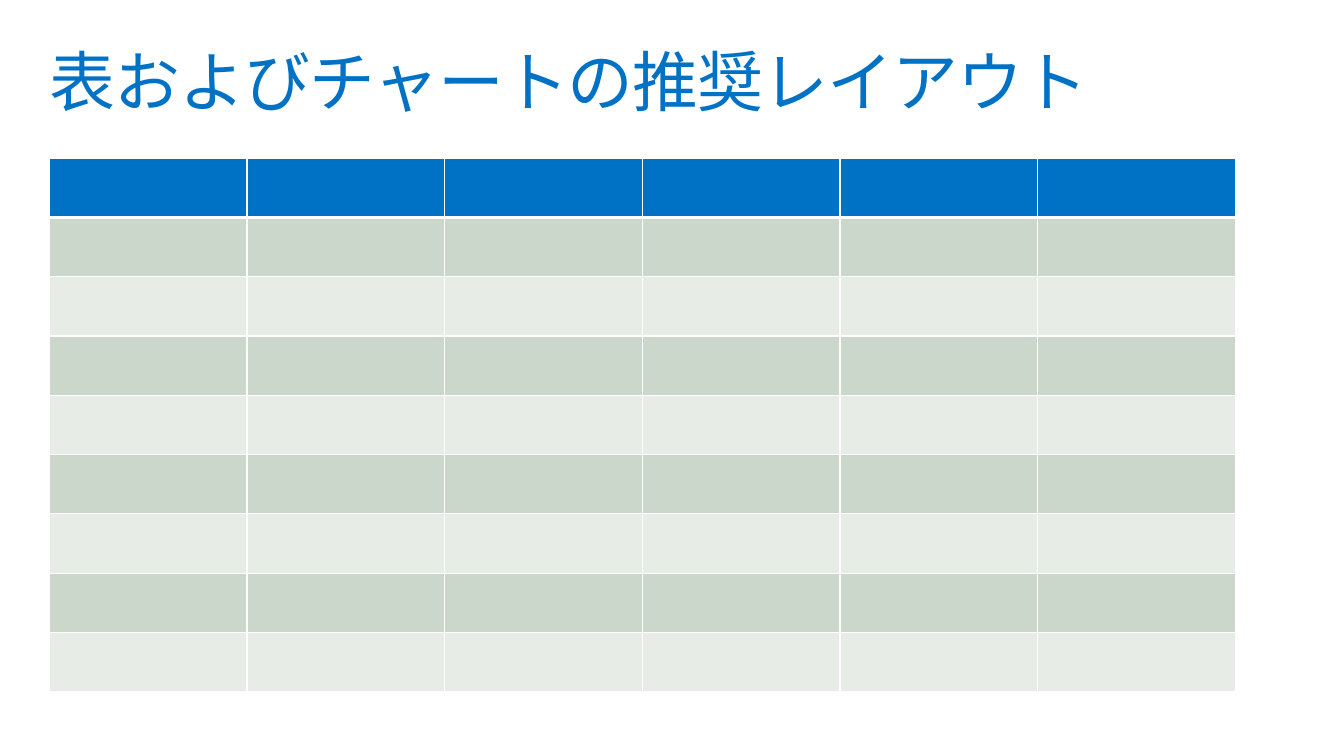
"""Build a slide with a title and an empty banded table."""
from lxml.etree import SubElement
from pptx import Presentation
from pptx.dml.color import RGBColor
from pptx.enum.text import MSO_ANCHOR, PP_ALIGN
from pptx.oxml.ns import qn
from pptx.util import Pt

PX = 9144
THEME = {
    "font": "Noto Sans CJK JP",
    "title_size": Pt(48),
    "blue": "0072C6",
    "bands": ("CCD7CC", "E7ECE7"),
    "border": "FFFFFF",
}
ROWS, COLS = 9, 6
COL_W, ROW_H = 200, 60


def add_border(tc_pr, side, width):
    ln = SubElement(tc_pr, qn(f"a:{side}"), w=str(Pt(width)))
    fill = SubElement(ln, qn("a:solidFill"))
    SubElement(fill, qn("a:srgbClr"), val=THEME["border"])


prs = Presentation()
prs.slide_width, prs.slide_height = 1360 * PX, 765 * PX
s = prs.slides.add_slide(prs.slide_layouts[5])

title = s.shapes.title
title.left, title.top, title.width, title.height = (v * PX for v in (40, 40, 1280, 100))
tf = title.text_frame
frame_format = {
    "margin_left": 10 * PX,
    "margin_top": 10 * PX,
    "margin_right": 10 * PX,
    "margin_bottom": 10 * PX,
    "vertical_anchor": MSO_ANCHOR.TOP,
    "word_wrap": True,
}
for name, value in frame_format.items():
    setattr(tf, name, value)
p = tf.paragraphs[0]
p.alignment, p.line_spacing = PP_ALIGN.LEFT, 0.9
r = p.add_run()
r.text = "表およびチャートの推奨レイアウト"
for name, value in {"name": THEME["font"], "size": THEME["title_size"]}.items():
    setattr(r.font, name, value)
r.font.color.rgb = RGBColor.from_string(THEME["blue"])
r_pr = r.font._element
r_pr.set("spc", "-70")
SubElement(r_pr, qn("a:ea"), typeface=THEME["font"])

table = s.shapes.add_table(
    ROWS, COLS, 50 * PX, 160 * PX, COLS * COL_W * PX, ROWS * ROW_H * PX
).table
for i, row in enumerate(table.rows):
    color = THEME["bands"][(i - 1) % 2] if i else THEME["blue"]
    for cell in row.cells:
        tc_pr = cell._tc.get_or_add_tcPr()
        for side in ("lnL", "lnR", "lnT", "lnB"):
            heavy = (i == 0 and side == "lnB") or (i == 1 and side == "lnT")
            add_border(tc_pr, side, 3 if heavy else 1)
        cell.fill.solid()
        cell.fill.fore_color.rgb = RGBColor.from_string(color)

prs.save("out.pptx")
